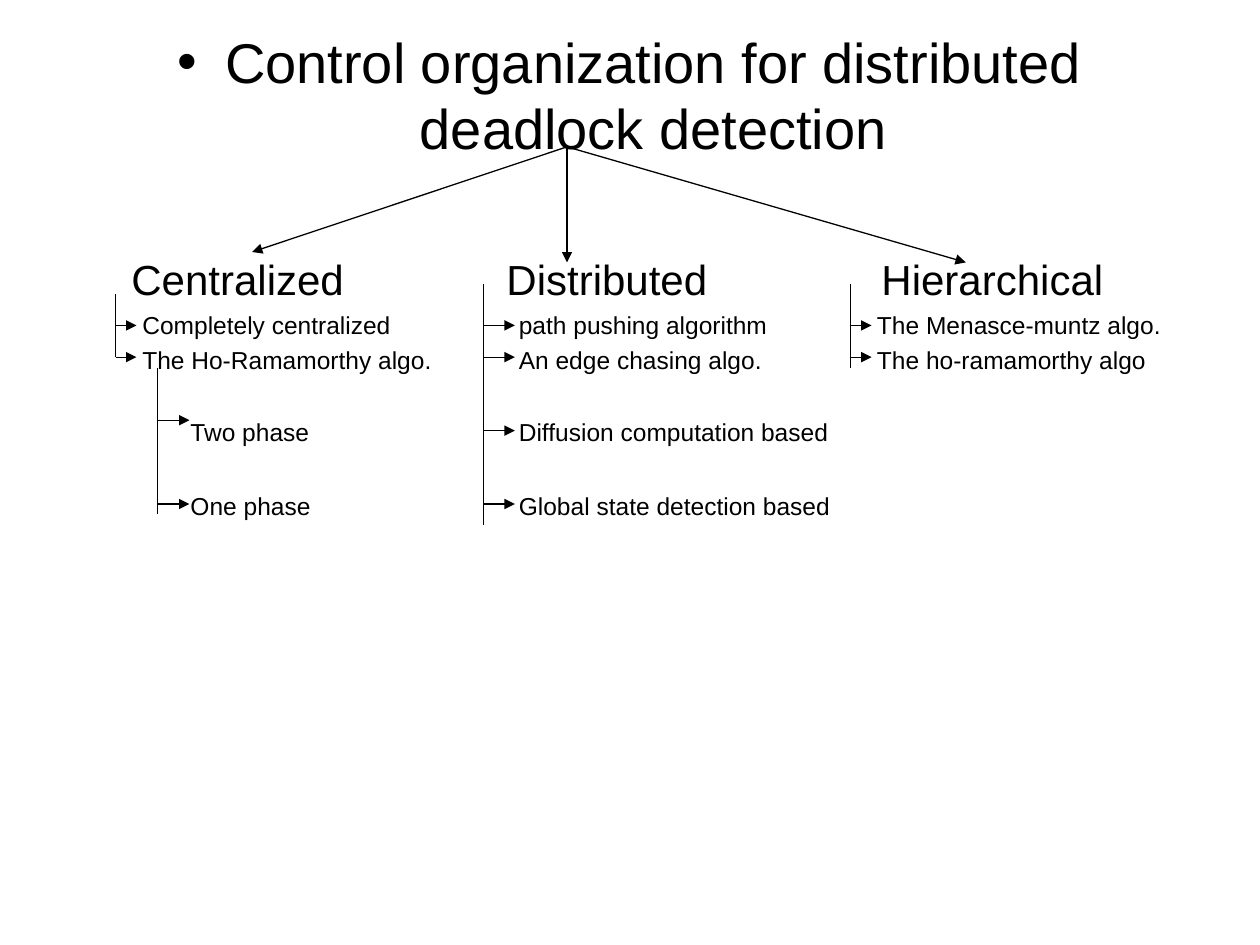
from dataclasses import dataclass

from lxml.etree import SubElement
from pptx import Presentation
from pptx.dml.color import RGBColor
from pptx.enum.shapes import MSO_CONNECTOR as Connector
from pptx.enum.text import MSO_ANCHOR as Anchor, MSO_AUTO_SIZE as AutoSize, PP_ALIGN as Align
from pptx.oxml.ns import qn
from pptx.util import Cm, Pt


@dataclass(frozen=True)
class Theme:
    ink: RGBColor = RGBColor(0, 0, 0)
    font: str = "Arial"
    topic: Pt = Pt(32)
    heading: Pt = Pt(24)
    item: Pt = Pt(14)
    line: Pt = Pt(0.75)


theme = Theme()


def add_line(page, start, end, arrow=False):
    line = page.shapes.add_connector(Connector.STRAIGHT, *map(Cm, start + end))
    line.line.color.rgb = theme.ink
    line.line.width = theme.line
    if arrow:
        SubElement(line.line._get_or_add_ln(), qn("a:tailEnd"), type="triangle")
    SubElement(line._element.spPr, qn("a:effectLst"))


def format_para(para, size, gap, indent, hanging=0, bullet=None):
    props = para._p.get_or_add_pPr()
    props.set("marL", str(Cm(indent)))
    props.set("indent", str(Cm(hanging)))
    if bullet:
        SubElement(props, qn("a:buChar"), char=bullet)
    para.space_before = Pt(gap)
    para.font.size = size
    para.font.name = theme.font
    para.font.color.rgb = theme.ink


deck = Presentation()
deck.slide_width, deck.slide_height = Cm(25.4), Cm(19.05)
page = deck.slides.add_slide(deck.slide_layouts[1])
title = page.shapes.title._element
title.getparent().remove(title)

body = page.placeholders[1]
body.left, body.top, body.width, body.height = Cm(1.27), Cm(0.44), Cm(22.86), Cm(3)
frame = body.text_frame
frame.word_wrap = True
frame.auto_size = AutoSize.NONE
frame.vertical_anchor = Anchor.TOP

topic = frame.paragraphs[0]
topic.text = "Control organization for distributed deadlock detection"
format_para(topic, theme.topic, 0, 0.95, -0.95, bullet="•")
topic.alignment = Align.CENTER
topic.line_spacing = Pt(38)

row_gaps = (0, 3.5, 3.5, 24, 25.5)
columns = [
    (2.65, [("Centralized", 0), ("Completely centralized", 0.22),
            ("The Ho-Ramamorthy algo.", 0.22), ("Two phase", 1.19), ("One phase", 1.19)]),
    (10.21, [("Distributed", 0), ("path pushing algorithm", 0.25),
             ("An edge chasing algo.", 0.25), ("Diffusion computation based", 0.25),
             ("Global state detection based", 0.25)]),
    (17.68, [("Hierarchical", 0.09), ("The Menasce-muntz algo.", 0),
             ("The ho-ramamorthy algo", 0)]),
]
for left, entries in columns:
    box = page.shapes.add_textbox(Cm(left), Cm(5.11), Cm(7), Cm(5.6))
    frame = box.text_frame
    frame.word_wrap = True
    frame.margin_left = frame.margin_right = frame.margin_top = frame.margin_bottom = 0
    for row, ((text, indent), gap) in enumerate(zip(entries, row_gaps)):
        para = frame.add_paragraph() if row else frame.paragraphs[0]
        para.text = text
        format_para(para, theme.item if row else theme.heading, gap, indent)

root = (11.43, 2.96)
for target in ((5.08, 5.08), (11.43, 5.29), (19.47, 5.29)):
    add_line(page, root, target, arrow=True)

branches = [
    (2.33, 5.93, 7.2, 0.42, (6.56, 7.2)),
    (3.18, 7.41, 10.37, 0.64, (8.47, 10.16)),
    (9.74, 5.72, 10.58, 0.64, (6.56, 7.2, 8.68, 10.16)),
    (17.15, 5.72, 7.41, 0.42, (6.56, 7.2)),
]
for left, top, bottom, length, levels in branches:
    add_line(page, (left, top), (left, bottom))
    for level in levels:
        add_line(page, (left, level), (left + length, level), arrow=True)

deck.save("out.pptx")
